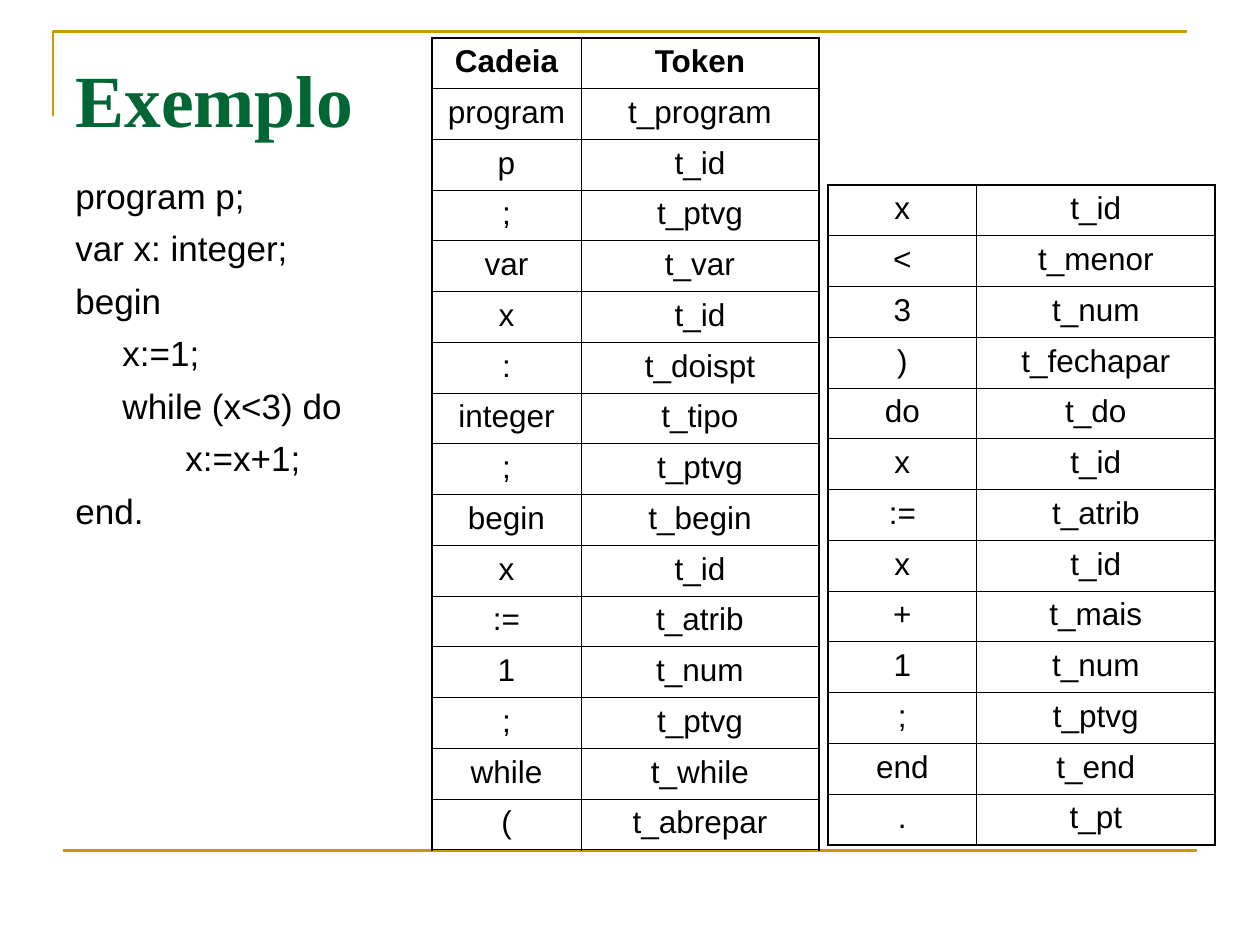
from dataclasses import dataclass
from typing import Any

from lxml import etree
from pptx import Presentation
from pptx import util as u
from pptx.dml.color import RGBColor
from pptx.enum import shapes, text
from pptx.oxml import ns

GOLD = RGBColor(0xCC, 0x99, 0x00)
GREEN = RGBColor(0x00, 0x66, 0x33)
BLACK = RGBColor(0x00, 0x00, 0x00)

TITLE_FONT = {"name": "Times New Roman", "size": u.Pt(42), "bold": True}
CODE_FONT = {"name": "Arial", "size": u.Pt(20), "bold": False}
CELL_FONT = {"name": "Arial", "size": u.Pt(18), "bold": False}
HEADER_FONT = {**CELL_FONT, "bold": True}

COLUMN_WIDTHS = (u.Cm(3), u.Cm(4.8))
ROW_HEIGHT = u.Cm(16.37) // 16
OUTER_BORDER = u.Pt(1.08)
INNER_BORDER = u.Pt(0.45)

CODE_LINES = (
    "program p;",
    "var x: integer;",
    "begin",
    "\tx:=1;",
    "\twhile (x<3) do",
    "\t\tx:=x+1;",
    "end.",
)


@dataclass(frozen=True)
class TokenTable:
    left: u.Length
    top: u.Length
    rows: tuple[tuple[str, str], ...]
    has_header: bool


@dataclass(frozen=True)
class TextBlock:
    top: u.Length
    height: u.Length
    top_margin: u.Length
    lines: tuple[str, ...]
    font: dict[str, Any]
    color: RGBColor
    hanging: bool


TOKEN_TABLES = (
    TokenTable(u.Cm(8.71), u.Cm(0.76), (
        ("Cadeia", "Token"),
        ("program", "t_program"),
        ("p", "t_id"),
        (";", "t_ptvg"),
        ("var", "t_var"),
        ("x", "t_id"),
        (":", "t_doispt"),
        ("integer", "t_tipo"),
        (";", "t_ptvg"),
        ("begin", "t_begin"),
        ("x", "t_id"),
        (":=", "t_atrib"),
        ("1", "t_num"),
        (";", "t_ptvg"),
        ("while", "t_while"),
        ("(", "t_abrepar"),
    ), True),
    TokenTable(u.Cm(16.69), u.Cm(3.73), (
        ("x", "t_id"),
        ("<", "t_menor"),
        ("3", "t_num"),
        (")", "t_fechapar"),
        ("do", "t_do"),
        ("x", "t_id"),
        (":=", "t_atrib"),
        ("x", "t_id"),
        ("+", "t_mais"),
        ("1", "t_num"),
        (";", "t_ptvg"),
        ("end", "t_end"),
        (".", "t_pt"),
    ), False),
)

TEXT_BLOCKS = (
    TextBlock(u.Cm(0.76), u.Cm(3.18), u.Cm(0.32), ("Exemplo",), TITLE_FONT, GREEN, False),
    TextBlock(u.Cm(3.33), u.Cm(13.72), u.Cm(0.18), CODE_LINES, CODE_FONT, BLACK, True),
)


def set_values(target: Any, values: dict[str, Any]) -> None:
    for name, value in values.items():
        setattr(target, name, value)


def add_text(paragraph: Any, content: str, font: dict[str, Any], color: RGBColor) -> None:
    run = paragraph.add_run()
    run.text = content
    set_values(run.font, font)
    run.font.color.rgb = color


def add_hanging_tabs(paragraph: Any) -> None:
    properties = paragraph._p.get_or_add_pPr()
    properties.set("marL", str(u.Cm(0.95)))
    properties.set("indent", str(-u.Cm(0.95)))
    tabs = etree.SubElement(properties, ns.qn("a:tabLst"))
    for position in range(8):
        etree.SubElement(tabs, ns.qn("a:tab"), pos=str(u.Cm(2.54 * position)), algn="l")


def draw_text_block(slide: Any, block: TextBlock) -> None:
    shape = slide.shapes.add_textbox(u.Cm(1.27), block.top, u.Cm(22.86), block.height)
    frame = shape.text_frame
    set_values(frame, {"word_wrap": True, "margin_top": block.top_margin})
    for index, line in enumerate(block.lines):
        paragraph = frame.add_paragraph() if index else frame.paragraphs[0]
        if block.hanging:
            add_hanging_tabs(paragraph)
        if index:
            paragraph.space_before = u.Pt(6)
        add_text(paragraph, line, block.font, block.color)


def set_borders(cell: Any, outer_sides: dict[str, bool]) -> None:
    properties = cell._tc.get_or_add_tcPr()
    for side, is_outer in outer_sides.items():
        width = OUTER_BORDER if is_outer else INNER_BORDER
        line = etree.SubElement(properties, ns.qn(f"a:ln{side}"), w=str(width))
        fill = etree.SubElement(line, ns.qn("a:solidFill"))
        etree.SubElement(fill, ns.qn("a:srgbClr"), val=str(BLACK))


def draw_token_table(slide: Any, spec_table: TokenTable) -> None:
    row_count = len(spec_table.rows)
    table = slide.shapes.add_table(
        row_count, len(COLUMN_WIDTHS), spec_table.left, spec_table.top,
        sum(COLUMN_WIDTHS), ROW_HEIGHT * row_count,
    ).table
    set_values(table, {"first_row": spec_table.has_header, "horz_banding": False})
    for column, width in zip(table.columns, COLUMN_WIDTHS):
        column.width = width
    for row_index, values in enumerate(spec_table.rows):
        table.rows[row_index].height = ROW_HEIGHT
        is_header = spec_table.has_header and row_index == 0
        for column_index, value in enumerate(values):
            cell = table.cell(row_index, column_index)
            set_borders(cell, {
                "L": column_index == 0,
                "R": column_index == len(values) - 1,
                "T": row_index == 0,
                "B": row_index == row_count - 1,
            })
            cell.fill.background()
            paragraph = cell.text_frame.paragraphs[0]
            paragraph.alignment = text.PP_ALIGN.CENTER
            add_text(paragraph, value, HEADER_FONT if is_header else CELL_FONT, BLACK)


def draw_frame_lines(slide: Any) -> None:
    left, top = u.Cm(1.07), u.Cm(0.64)
    builder = slide.shapes.build_freeform(left, u.Cm(2.33))
    builder.add_line_segments([(left, top), (u.Cm(23.93), top)], close=False)
    corner = builder.convert_to_shape()
    corner.shadow.inherit = False
    corner.fill.background()
    baseline = slide.shapes.add_connector(
        shapes.MSO_CONNECTOR.STRAIGHT, u.Cm(1.27), u.Cm(17.15), u.Cm(24.13), u.Cm(17.15))
    etree.SubElement(baseline._element.spPr, ns.qn("a:effectLst"))
    for shape in (corner, baseline):
        shape.line.color.rgb = GOLD
        shape.line.width = u.Pt(1.5)


def main() -> None:
    presentation = Presentation()
    set_values(presentation, {"slide_width": u.Cm(25.4), "slide_height": u.Cm(19.05)})
    slide = presentation.slides.add_slide(presentation.slide_layouts[6])
    draw_frame_lines(slide)
    for block in TEXT_BLOCKS:
        draw_text_block(slide, block)
    for token_table in TOKEN_TABLES:
        draw_token_table(slide, token_table)
    presentation.save("out.pptx")


if __name__ == "__main__":
    main()
